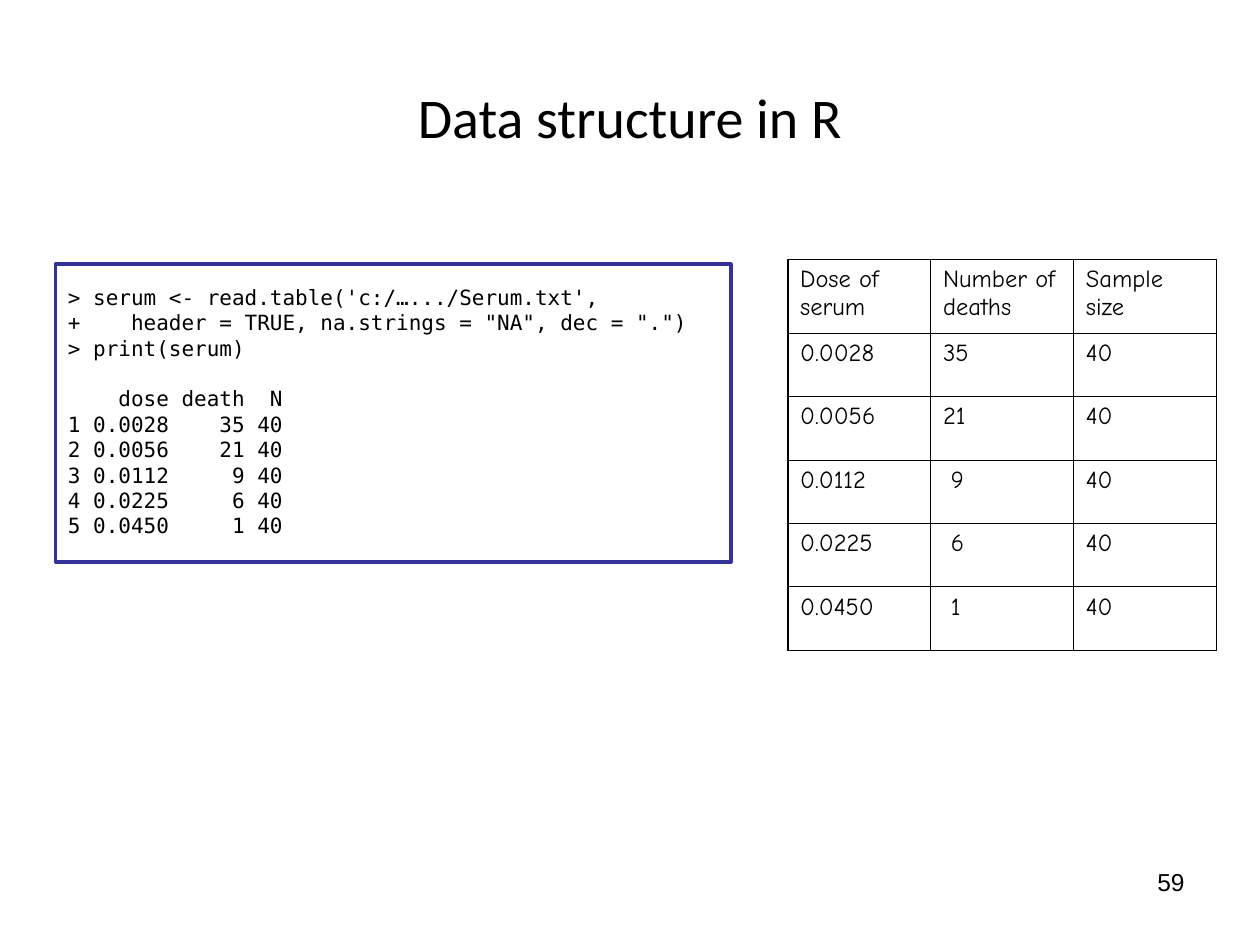
import pptx
import pptx.dml.color
import pptx.enum.shapes
import pptx.enum.text
import pptx.oxml
import pptx.oxml.ns
import pptx.util

Cm = pptx.util.Cm
Pt = pptx.util.Pt
ALIGN = pptx.enum.text.PP_ALIGN
ANCHOR = pptx.enum.text.MSO_ANCHOR

BLACK = pptx.dml.color.RGBColor(0x00, 0x00, 0x00)
FRAME_BLUE = pptx.dml.color.RGBColor(0x33, 0x33, 0x99)

THIN, THICK = 0.45, 1.08

CODE = [
    "> serum <- read.table('c:/….../Serum.txt',",
    '+    header = TRUE, na.strings = "NA", dec = ".")',
    "> print(serum)",
]
OUTPUT = [
    "    dose death  N",
    "1 0.0028    35 40",
    "2 0.0056    21 40",
    "3 0.0112     9 40",
    "4 0.0225     6 40",
    "5 0.0450     1 40",
]
SERUM_ROWS = [
    ("Dose of serum", "Number of deaths", "Sample size"),
    ("0.0028", "35", "40"),
    ("0.0056", "21", "40"),
    ("0.0112", "9", "40"),
    ("0.0225", "6", "40"),
    ("0.0450", "1", "40"),
]


def style(p, font, size, align=ALIGN.LEFT):
    p.alignment = align
    p.font.name = font
    p.font.size = Pt(size)
    p.font.color.rgb = BLACK


def add_text(slide, box, lines, font, size, align=ALIGN.LEFT, anchor=ANCHOR.TOP):
    tf = slide.shapes.add_textbox(*(Cm(v) for v in box)).text_frame
    tf.word_wrap = True
    tf.vertical_anchor = anchor
    for i, line in enumerate(lines):
        p = tf.paragraphs[0] if i == 0 else tf.add_paragraph()
        p.text = line
        style(p, font, size, align)
    return tf


def add_code_panel(slide, left, top, width, height):
    # Console session, with a one-line gap before the printed data
    tf = add_text(slide, (left, top + 0.38, width, height - 0.6),
                  CODE + OUTPUT, "DejaVu Sans Mono", 12)
    for i, p in enumerate(tf.paragraphs):
        p.line_spacing = 0.8
        if i:
            p.space_before = Pt(17.4 if i == len(CODE) else 3)

    # Frame
    sp = slide.shapes.add_shape(pptx.enum.shapes.MSO_SHAPE.RECTANGLE,
                                Cm(left), Cm(top), Cm(width), Cm(height))
    sp.shadow.inherit = False
    sp.fill.background()
    sp.line.color.rgb = FRAME_BLUE
    sp.line.width = Pt(2.25)


def set_borders(cell, widths):
    tc_pr = cell._tc.get_or_add_tcPr()
    for side, width in zip("LRTB", widths):
        tc_pr.append(pptx.oxml.parse_xml(
            f'<a:ln{side} {pptx.oxml.ns.nsdecls("a")} w="{int(Pt(width))}">'
            f'<a:solidFill><a:srgbClr val="{BLACK}"/></a:solidFill></a:ln{side}>'))


def add_serum_table(slide, left, top, width, height):
    n_rows, n_cols = len(SERUM_ROWS), len(SERUM_ROWS[0])
    header_height = 1.48
    table = slide.shapes.add_table(n_rows, n_cols, Cm(left), Cm(top),
                                   Cm(width), Cm(height)).table
    table.first_row = table.horz_banding = False
    for col in table.columns:
        col.width = Cm(width / n_cols)
    for r, row in enumerate(table.rows):
        row.height = Cm((height - header_height) / (n_rows - 1) if r else header_height)
        for c, value in enumerate(SERUM_ROWS[r]):
            cell = table.cell(r, c)
            cell.text = value
            style(cell.text_frame.paragraphs[0], "Comic Neue", 14)
            # Single digits are set in a little
            cell.margin_left = Cm(0.41 if len(value) == 1 else 0.25)
            outer = (c == 0, c == n_cols - 1, r == 0, r == n_rows - 1)
            set_borders(cell, [THICK if edge else THIN for edge in outer])
            cell.fill.background()


def main():
    prs = pptx.Presentation()
    prs.slide_width, prs.slide_height = Cm(25.4), Cm(19.05)
    slide = prs.slides.add_slide(prs.slide_layouts[6])

    # Title
    add_text(slide, (1.27, 0.76, 22.86, 3.18), ["Data structure in R"],
             "Calibri", 32, ALIGN.CENTER, ANCHOR.MIDDLE)
    add_code_panel(slide, 1.12, 5.33, 13.61, 6)
    add_serum_table(slide, 15.88, 5.23, 8.64, 7.88)
    # Page number
    add_text(slide, (18.21, 17.35, 5.92, 1.32), ["59"], "Arial", 14, ALIGN.RIGHT)

    prs.save("out.pptx")


if __name__ == "__main__":
    main()
